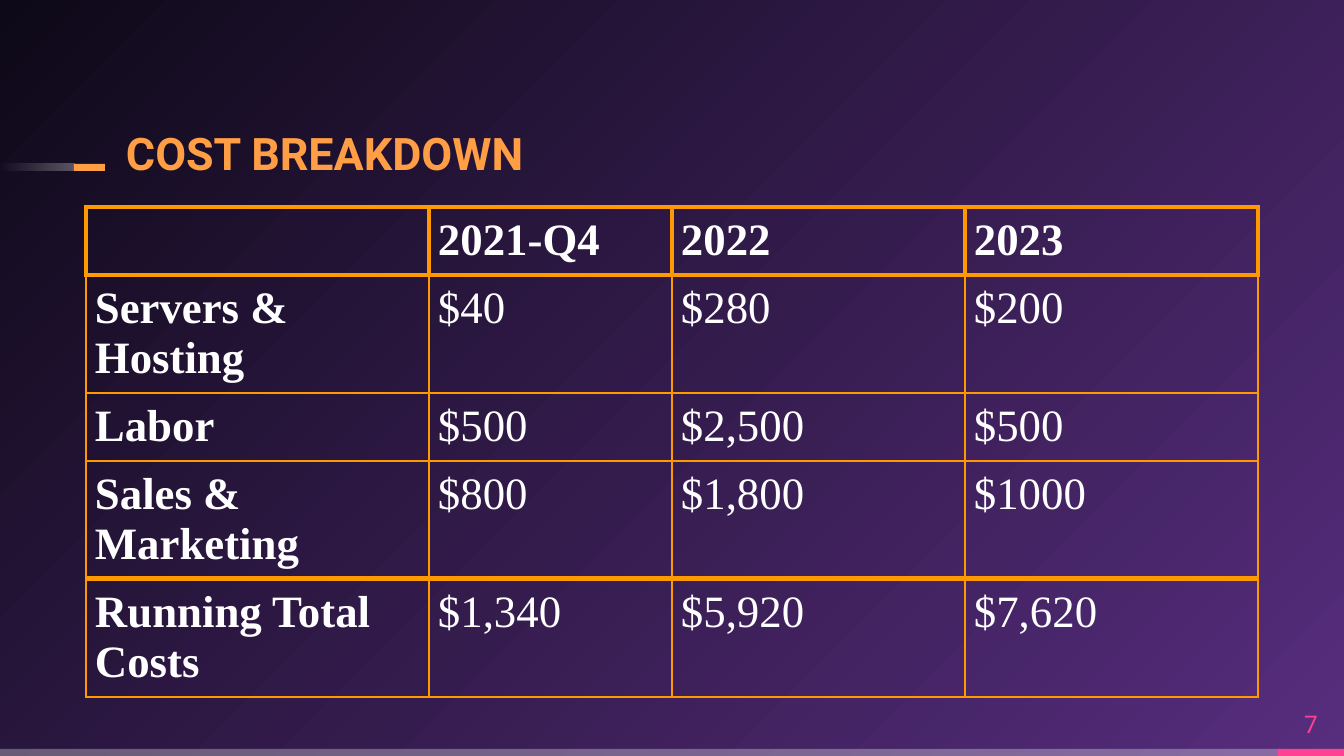
from dataclasses import dataclass

from lxml import etree
from pptx import Presentation
from pptx import util as u
from pptx.dml.color import RGBColor
from pptx.enum import shapes, text
from pptx.oxml import ns

WIDTH, HEIGHT = 1344, 756
EMU_PER_PX = 9144000 / WIDTH

WHITE = RGBColor(0xFF, 0xFF, 0xFF)
ORANGE = RGBColor(0xFF, 0x9E, 0x44)
AMBER = RGBColor(0xFF, 0x99, 0x00)
PINK = RGBColor(0xFF, 0x40, 0x93)
PURPLE = RGBColor(0x57, 0x2D, 0x7E)
NIGHT = RGBColor(0x0E, 0x09, 0x18)

THIN, HEADER, TOTAL = 1, 2.25, 3
COLUMNS = (343, 243, 293, 293)
ROW_HEIGHTS = (68, 118, 68, 118, 118)
COSTS = (
    ("", "2021-Q4", "2022", "2023"),
    ("Servers & Hosting", "$40", "$280", "$200"),
    ("Labor", "$500", "$2,500", "$500"),
    ("Sales & Marketing", "$800", "$1,800", "$1000"),
    ("Running Total Costs", "$1,340", "$5,920", "$7,620"),
)
RULES = (HEADER, HEADER, THIN, THIN, TOTAL, THIN)


@dataclass(frozen=True)
class Bar:
    left: int
    top: int
    width: int
    height: int
    color: RGBColor
    opacity: tuple[int, ...] = (100,)


BARS = (
    Bar(0, 749, 1282, 7, WHITE, (30,)),
    Bar(1278, 749, 66, 7, PINK),
    Bar(0, 164, 75, 7, WHITE, (30, 0)),
    Bar(74, 164, 31, 7, ORANGE),
)


def px(length: int) -> u.Emu:
    return u.Emu(round(length * EMU_PER_PX))


def apply(target, values: dict) -> None:
    for name, value in values.items():
        setattr(target, name, value)


def write(frame, words: str, size: int, face: str, color: RGBColor,
          bold: bool = False, align=text.PP_ALIGN.LEFT, spacing: float = 1.0) -> None:
    line = frame.paragraphs[0]
    apply(line, {"alignment": align, "line_spacing": spacing})
    run = line.add_run()
    run.text = words
    apply(run.font, {"size": u.Pt(size), "name": face, "bold": bold})
    run.font.color.rgb = color


def frame_format(anchor) -> dict:
    margins = {f"margin_{side}": 0 for side in ("left", "top", "right", "bottom")}
    return margins | {"word_wrap": True, "vertical_anchor": anchor,
                      "auto_size": text.MSO_AUTO_SIZE.NONE}


def paint_background(slide) -> None:
    fill = slide.background.fill
    fill.gradient()
    for stop, color in zip(fill.gradient_stops, (PURPLE, NIGHT)):
        stop.color.rgb = color
    gradient = next(slide.element.iter(ns.qn("a:gradFill")))
    gradient.remove(gradient.find(ns.qn("a:lin")))
    circle = etree.SubElement(gradient, ns.qn("a:path"), path="circle")
    etree.SubElement(circle, ns.qn("a:fillToRect"), l="100000", t="100000")


def draw_bar(slide, bar: Bar) -> None:
    shape = slide.shapes.add_shape(
        shapes.MSO_SHAPE.RECTANGLE,
        px(bar.left), px(bar.top), px(bar.width), px(bar.height))
    shape.shadow.inherit = False
    shape.line.fill.background()
    if len(bar.opacity) > 1:
        shape.fill.gradient()
        shape.fill.gradient_angle = 180
        for stop in shape.fill.gradient_stops:
            stop.color.rgb = bar.color
    else:
        shape.fill.solid()
        shape.fill.fore_color.rgb = bar.color
    tints = shape.element.spPr.iter(ns.qn("a:srgbClr"))
    for tint, opacity in zip(tints, bar.opacity):
        if opacity < 100:
            etree.SubElement(tint, ns.qn("a:alpha"), val=str(opacity * 1000))


def outline(cell, side: float, top: float, bottom: float) -> None:
    properties = cell._tc.get_or_add_tcPr()
    edges = {"lnL": side, "lnR": side, "lnT": top, "lnB": bottom}
    for position, (edge, width) in enumerate(edges.items()):
        line = etree.Element(ns.qn(f"a:{edge}"), w=str(u.Pt(width)))
        solid = etree.SubElement(line, ns.qn("a:solidFill"))
        etree.SubElement(solid, ns.qn("a:srgbClr"), val=str(AMBER))
        properties.insert(position, line)


def draw_costs(slide) -> None:
    costs = slide.shapes.add_table(
        len(COSTS), len(COLUMNS), px(86), px(207),
        px(sum(COLUMNS)), px(sum(ROW_HEIGHTS))).table
    apply(costs, {"first_row": False, "horz_banding": False})
    for column, width in zip(costs.columns, COLUMNS):
        column.width = px(width)
    for r, (row, height) in enumerate(zip(costs.rows, ROW_HEIGHTS)):
        row.height = px(height)
        for c, cell in enumerate(row.cells):
            apply(cell, {f"margin_{side}": px(9)
                         for side in ("left", "top", "right", "bottom")})
            cell.fill.background()
            outline(cell, THIN if r else HEADER, RULES[r], RULES[r + 1])
            if COSTS[r][c]:
                write(cell.text_frame, COSTS[r][c], 24, "Times New Roman",
                      WHITE, bold=r == 0 or c == 0)


def main() -> None:
    deck = Presentation()
    apply(deck, {"slide_width": px(WIDTH), "slide_height": px(HEIGHT)})
    slide = deck.slides.add_slide(deck.slide_layouts[5])
    paint_background(slide)
    for bar in BARS:
        draw_bar(slide, bar)

    heading = slide.shapes.title
    apply(heading, {"left": px(126), "top": px(122),
                    "width": px(780), "height": px(58)})
    apply(heading.text_frame, frame_format(text.MSO_ANCHOR.BOTTOM))
    write(heading.text_frame, "COST BREAKDOWN", 24, "Roboto", ORANGE,
          bold=True, spacing=0.9)

    page_number = slide.shapes.add_textbox(px(1278), px(698), px(66), px(51))
    apply(page_number.text_frame, frame_format(text.MSO_ANCHOR.MIDDLE))
    write(page_number.text_frame, "7", 13, "Roboto", PINK,
          align=text.PP_ALIGN.CENTER)

    draw_costs(slide)
    deck.save("out.pptx")


if __name__ == "__main__":
    main()
